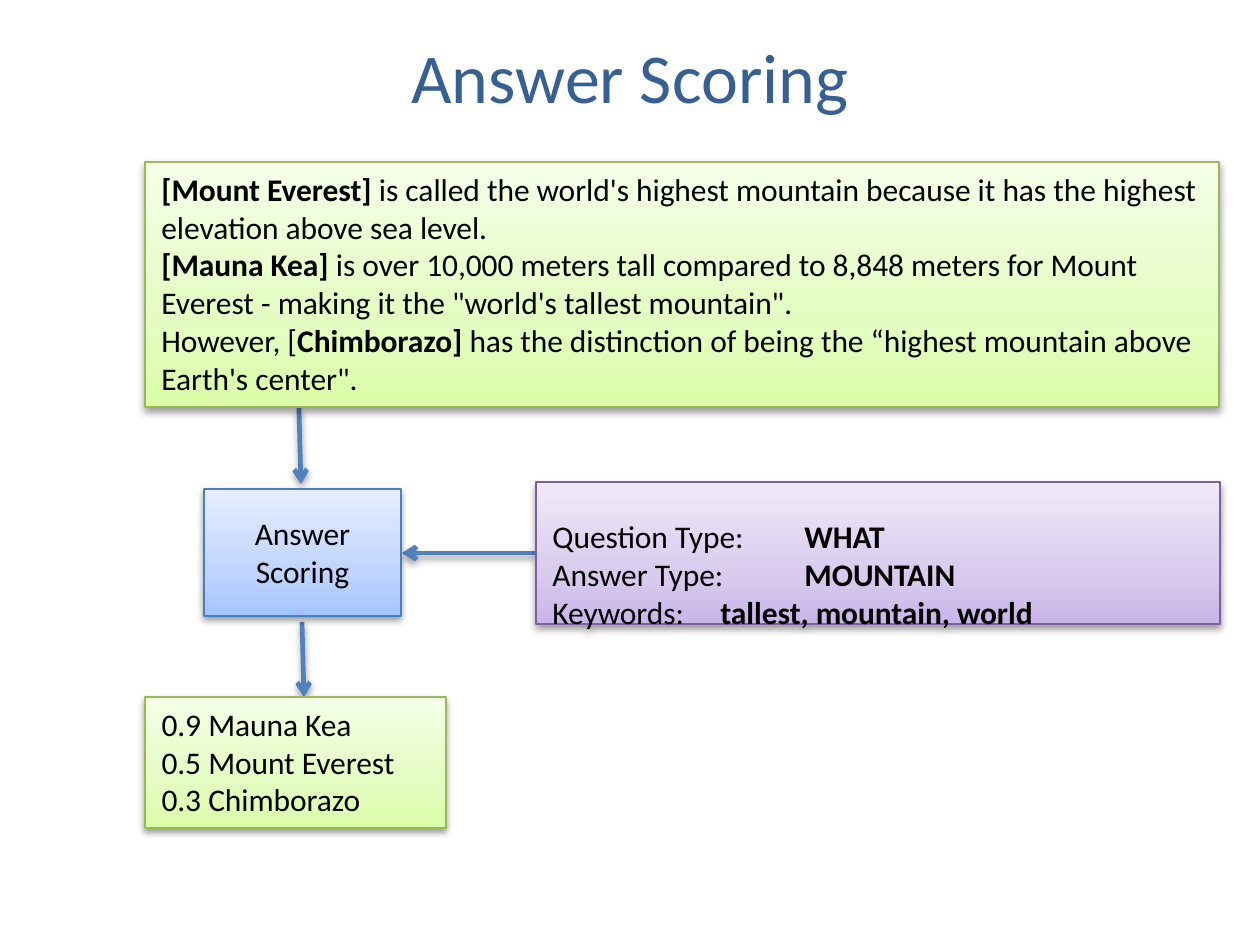
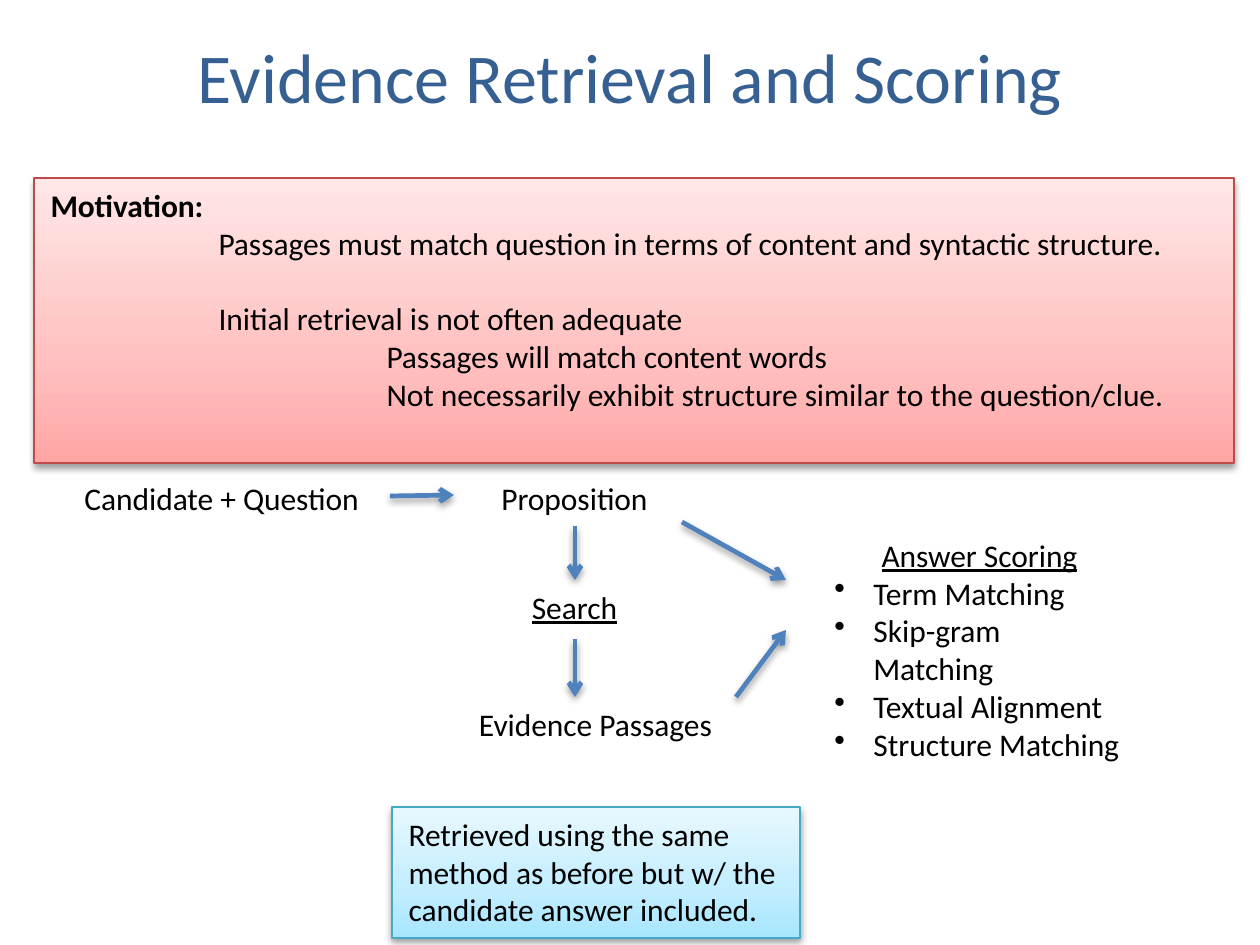
import copy

import pptx
import pptx.dml.color
import pptx.enum.shapes
import pptx.enum.text
import pptx.oxml
import pptx.oxml.ns
import pptx.util

PX = 5443  # EMU per px, 168 px to the inch
FONT = "Calibri"
RGB = pptx.dml.color.RGBColor
ALIGN = pptx.enum.text.PP_ALIGN
ANCHOR = pptx.enum.text.MSO_ANCHOR
TOP, MIDDLE = ANCHOR.TOP, ANCHOR.MIDDLE
qn = pptx.oxml.ns.qn

BLACK = RGB(0x00, 0x00, 0x00)
WHITE = RGB(0xFF, 0xFF, 0xFF)
TITLE_BLUE = RGB(0x37, 0x60, 0x92)
ARROW_BLUE = RGB(0x4F, 0x81, 0xBD)
# Each palette: outline, then gradient colours from bottom to top
BLUE = (RGB(0x4B, 0x7E, 0xBC), RGB(0xA4, 0xC4, 0xFF), RGB(0xBF, 0xD4, 0xFF), RGB(0xE6, 0xEE, 0xFF))
PURPLE = (RGB(0x7D, 0x60, 0xA0), RGB(0xC9, 0xB5, 0xE8), RGB(0xD8, 0xCB, 0xEE), RGB(0xF0, 0xEA, 0xF9))
GREEN = (RGB(0x98, 0xB9, 0x55), RGB(0xDA, 0xFD, 0xA7), RGB(0xE4, 0xFC, 0xC2), RGB(0xF5, 0xFF, 0xE7))
RED = (RGB(0xBF, 0x4C, 0x48), RGB(0xFF, 0xA6, 0xA5), RGB(0xFF, 0xC0, 0xBF), RGB(0xFF, 0xE7, 0xE7))
AQUA = (RGB(0x46, 0xAA, 0xC5), RGB(0xA7, 0xE6, 0xFF), RGB(0xC1, 0xED, 0xFF), RGB(0xE7, 0xF8, 0xFF))
GRADIENT_POSITIONS = (0, 0.35, 1)


def write(frame, text, size=13.5, color=BLACK, align=ALIGN.LEFT, underline=False,
          indent=0, hanging=0, bullet=None, tab=None, space_before=None):
    """Add one paragraph; ** in the text switches bold on and off."""
    para = frame.paragraphs[0]
    if para.runs:
        para = frame.add_paragraph()
    para.alignment = align
    properties = para._p.get_or_add_pPr()
    properties.set("marL", str(indent * PX))
    properties.set("indent", str(-hanging * PX))
    if bullet:
        mark = properties.makeelement(qn("a:buChar"), {"char": bullet})
        properties.append(mark)
    if tab:
        stops = properties.makeelement(qn("a:tabLst"), {})
        stops.append(stops.makeelement(qn("a:tab"), {"pos": str(tab * PX), "algn": "l"}))
        properties.append(stops)
    if space_before:
        para.space_before = pptx.util.Pt(space_before)
    for index, part in enumerate(text.split("**")):
        if part:
            span = para.add_run()
            span.text = part
            span.font.name = FONT
            span.font.size = pptx.util.Pt(size)
            span.font.color.rgb = color
            span.font.bold = index % 2 == 1
            span.font.underline = underline


def add_shadow(shape):
    """Call after the line is set, so that the effect comes last."""
    shape._element.spPr.append(pptx.oxml.parse_xml(
        f'<a:effectLst {pptx.oxml.ns.nsdecls("a")}>'
        '<a:outerShdw blurRad="39370" dist="20320" dir="5400000" rotWithShape="0">'
        '<a:srgbClr val="000000"><a:alpha val="38000"/></a:srgbClr>'
        '</a:outerShdw></a:effectLst>'))


CENTERED = {"align": ALIGN.CENTER}
HEADING = {"align": ALIGN.CENTER, "underline": True}
BULLET = {"bullet": "•", "indent": 39, "hanging": 39}
COLUMNS = {"tab": 336}
LEVEL_1 = {"indent": 168}
LEVEL_2 = {"indent": 336}

# Arrows: start x, start y, end x, end y
# Boxes: (left, top, width, height), palette or None, anchor, top margin, paragraphs
slides = [
    {
        "title": "Answer Scoring",
        "arrows": [(299, 408, 301, 484), (302, 622, 304, 697), (536, 553, 402, 553)],
        "boxes": [
            ((145, 162, 1074, 245), GREEN, TOP, 8, [
                ("**[Mount Everest]** is called the world's highest mountain because "
                 "it has the highest elevation above sea level.", {}),
                ("**[Mauna Kea]** is over 10,000 meters tall compared to 8,848 meters "
                 "for Mount Everest - making it the \"world's tallest mountain\".", {}),
                ("However, [**Chimborazo]** has the distinction of being the "
                 "“highest mountain above Earth's center\".", {}),
            ]),
            ((204, 489, 197, 127), BLUE, MIDDLE, 8, [
                ("Answer", CENTERED),
                ("Scoring", CENTERED),
            ]),
            ((536, 482, 684, 142), PURPLE, TOP, 35, [
                ("Question Type:\t**WHAT**", COLUMNS),
                ("Answer Type:\t**MOUNTAIN**", COLUMNS),
                ("Keywords:\t**tallest, mountain, world**", COLUMNS),
            ]),
            ((145, 697, 301, 131), GREEN, TOP, 8, [
                ("0.9 Mauna Kea", {}),
                ("0.5 Mount Everest", {}),
                ("0.3 Chimborazo", {}),
            ]),
        ],
    },
    {
        "title": "Evidence Retrieval and Scoring",
        "arrows": [(390, 496, 454, 495), (682, 522, 786, 580), (736, 697, 786, 630),
                   (575, 526, 575, 580), (575, 639, 575, 697)],
        "boxes": [
            ((34, 178, 1200, 285), RED, TOP, 8, [
                ("**Motivation:**", {}),
                ("Passages must match question in terms of content and syntactic "
                 "structure.", LEVEL_1),
                ("Initial retrieval is not often adequate",
                 {**LEVEL_1, "space_before": 16.2}),
                ("Passages will match content words", LEVEL_2),
                ("Not necessarily exhibit structure similar to the question/clue.", LEVEL_2),
            ]),
            ((68, 471, 323, 55), None, TOP, 8, [("Candidate + Question", {})]),
            ((413, 471, 323, 55), None, TOP, 8, [("Proposition", CENTERED)]),
            ((413, 580, 323, 55), None, TOP, 8, [("Search", HEADING)]),
            ((434, 697, 323, 55), None, TOP, 8, [("Evidence Passages", CENTERED)]),
            ((818, 528, 323, 245), None, TOP, 8, [
                ("Answer Scoring", HEADING),
                ("Term Matching", BULLET),
                ("Skip-gram Matching", BULLET),
                ("Textual Alignment", BULLET),
                ("Structure Matching", BULLET),
            ]),
            ((392, 807, 408, 131), AQUA, TOP, 8, [
                ("Retrieved using the same method as before but w/ the candidate "
                 "answer included.", {}),
            ]),
        ],
    },
]

deck = pptx.Presentation()
deck.slide_width, deck.slide_height = 1260 * PX, 945 * PX
layout = deck.slide_layouts.get_by_name("Title Only")
layout_title = layout.placeholders[0]
layout_title.left, layout_title.top = 0, 0
layout_title.width, layout_title.height = 1260 * PX, 151 * PX
layout_title.fill.solid()
layout_title.fill.fore_color.rgb = WHITE
layout_title.text_frame.vertical_anchor = MIDDLE

for content in slides:
    page = deck.slides.add_slide(layout)
    write(page.shapes.title.text_frame, content["title"], size=30, color=TITLE_BLUE,
          align=ALIGN.CENTER)

    for ends in content["arrows"]:
        arrow = page.shapes.add_connector(
            pptx.enum.shapes.MSO_CONNECTOR.STRAIGHT, *[value * PX for value in ends])
        arrow.line.color.rgb = ARROW_BLUE
        arrow.line.width = pptx.util.Pt(2)
        outline = arrow.line._get_or_add_ln()
        outline.append(outline.makeelement(qn("a:tailEnd"), {"type": "arrow"}))
        add_shadow(arrow)

    for place, palette, anchor, top_margin, paragraphs in content["boxes"]:
        area = [value * PX for value in place]
        if palette:
            box = page.shapes.add_shape(pptx.enum.shapes.MSO_SHAPE.RECTANGLE, *area)
            line_color, *gradient_colors = palette
            box.fill.gradient()
            box.fill.gradient_angle = 90
            first_stop = box._element.spPr.find(".//" + qn("a:gs"))
            first_stop.addnext(copy.deepcopy(first_stop))
            for stop, position, color in zip(
                    box.fill.gradient_stops, GRADIENT_POSITIONS, gradient_colors):
                stop.position = position
                stop.color.rgb = color
            box.line.color.rgb = line_color
            box.line.width = pptx.util.Pt(0.75)
            add_shadow(box)
        else:
            box = page.shapes.add_textbox(*area)
        frame = box.text_frame
        frame.word_wrap = True
        frame.vertical_anchor = anchor
        frame.margin_top = top_margin * PX
        for text, text_format in paragraphs:
            write(frame, text, **text_format)

deck.save("out.pptx")
